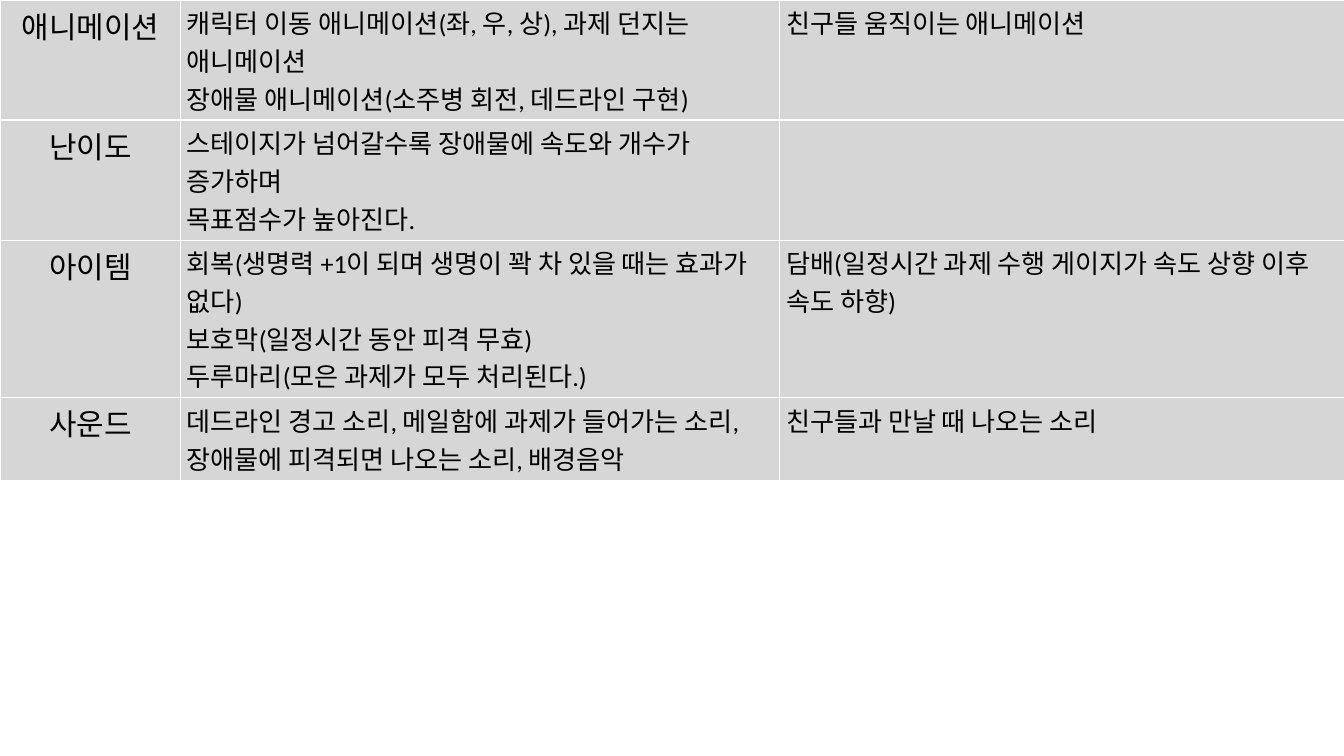
from lxml.etree import SubElement
from pptx import Presentation
from pptx.dml.color import RGBColor
from pptx.enum.text import PP_ALIGN
from pptx.oxml import parse_xml
from pptx.oxml.ns import nsdecls, qn
from pptx.util import Inches, Pt

SLIDE_WIDTH, SLIDE_HEIGHT = 20, 11.25
COLUMN_WIDTHS = [2.67, 8.92, 8.42]
ROW_HEIGHT = 1.2
BLACK, WHITE, GRAY = "000000", "FFFFFF", "A6A6A6"
GRAY_OPACITY = 45
THIN, THICK = 1, 3

TOPIC_FORMAT = {"size": Pt(32), "name": "Calibri", "bold": False}
DETAIL_FORMAT = {**TOPIC_FORMAT, "size": Pt(28)}
TABLE_FORMAT = {"first_row": False, "horz_banding": False}

PLAN = [
    (
        ["애니메이션"],
        [
            "캐릭터 이동 애니메이션(좌, 우, 상), 과제 던지는 애니메이션",
            "장애물 애니메이션(소주병 회전, 데드라인 구현)",
        ],
        ["친구들 움직이는 애니메이션"],
    ),
    (
        ["난이도"],
        [
            "스테이지가 넘어갈수록 장애물에 속도와 개수가 증가하며",
            "목표점수가 높아진다.",
        ],
        [],
    ),
    (
        ["아이템"],
        [
            "회복(생명력 +1이 되며 생명이 꽉 차 있을 때는 효과가 없다)",
            "보호막(일정시간 동안 피격 무효)",
            "두루마리(모은 과제가 모두 처리된다.)",
        ],
        ["담배(일정시간 과제 수행 게이지가 속도 상향 이후 속도 하향)"],
    ),
    (
        ["사운드"],
        [
            "데드라인 경고 소리, 메일함에 과제가 들어가는 소리,",
            "장애물에 피격되면 나오는 소리, 배경음악",
        ],
        ["친구들과 만날 때 나오는 소리"],
    ),
]


def color(hex_value):
    return RGBColor.from_string(hex_value)


def apply_format(target, values):
    for attribute, value in values.items():
        setattr(target, attribute, value)


def fill_cell(cell):
    cell.fill.solid()
    cell.fill.fore_color.rgb = color(GRAY)
    tint = cell._tc.tcPr.find(qn("a:solidFill"))[0]
    SubElement(tint, qn("a:alpha"), val=str(GRAY_OPACITY * 1000))


def border_cell(cell, top, bottom):
    widths = {"lnL": THIN, "lnR": THIN, "lnT": top, "lnB": bottom}
    for position, (side, width) in enumerate(widths.items()):
        border = parse_xml(
            f'<a:{side} {nsdecls("a")} w="{Pt(width)}"><a:solidFill>'
            f'<a:srgbClr val="{WHITE}"/></a:solidFill></a:{side}>'
        )
        cell._tc.tcPr.insert(position, border)


def write_cell(cell, lines, text_format, alignment):
    frame = cell.text_frame
    for number, line in enumerate(lines):
        paragraph = frame.add_paragraph() if number else frame.paragraphs[0]
        paragraph.alignment = alignment
        run = paragraph.add_run()
        run.text = line
        apply_format(run.font, text_format)
        run.font.color.rgb = color(BLACK)


def add_plan_table(slide):
    table = slide.shapes.add_table(
        len(PLAN), len(COLUMN_WIDTHS), Inches(0.01), 0,
        Inches(sum(COLUMN_WIDTHS)), Inches(ROW_HEIGHT * len(PLAN)),
    ).table
    apply_format(table, TABLE_FORMAT)
    for column, width in zip(table.columns, COLUMN_WIDTHS):
        column.width = Inches(width)
    for row_index, entries in enumerate(PLAN):
        top = THICK if row_index == 1 else THIN
        bottom = THICK if row_index == 0 else THIN
        for column_index, lines in enumerate(entries):
            cell = table.cell(row_index, column_index)
            is_topic = column_index == 0
            fill_cell(cell)
            border_cell(cell, top, bottom)
            write_cell(
                cell, lines,
                TOPIC_FORMAT if is_topic else DETAIL_FORMAT,
                PP_ALIGN.CENTER if is_topic else PP_ALIGN.LEFT,
            )


def main():
    presentation = Presentation()
    presentation.slide_width = Inches(SLIDE_WIDTH)
    presentation.slide_height = Inches(SLIDE_HEIGHT)
    slide = presentation.slides.add_slide(presentation.slide_layouts[6])
    add_plan_table(slide)
    presentation.save("out.pptx")


if __name__ == "__main__":
    main()
